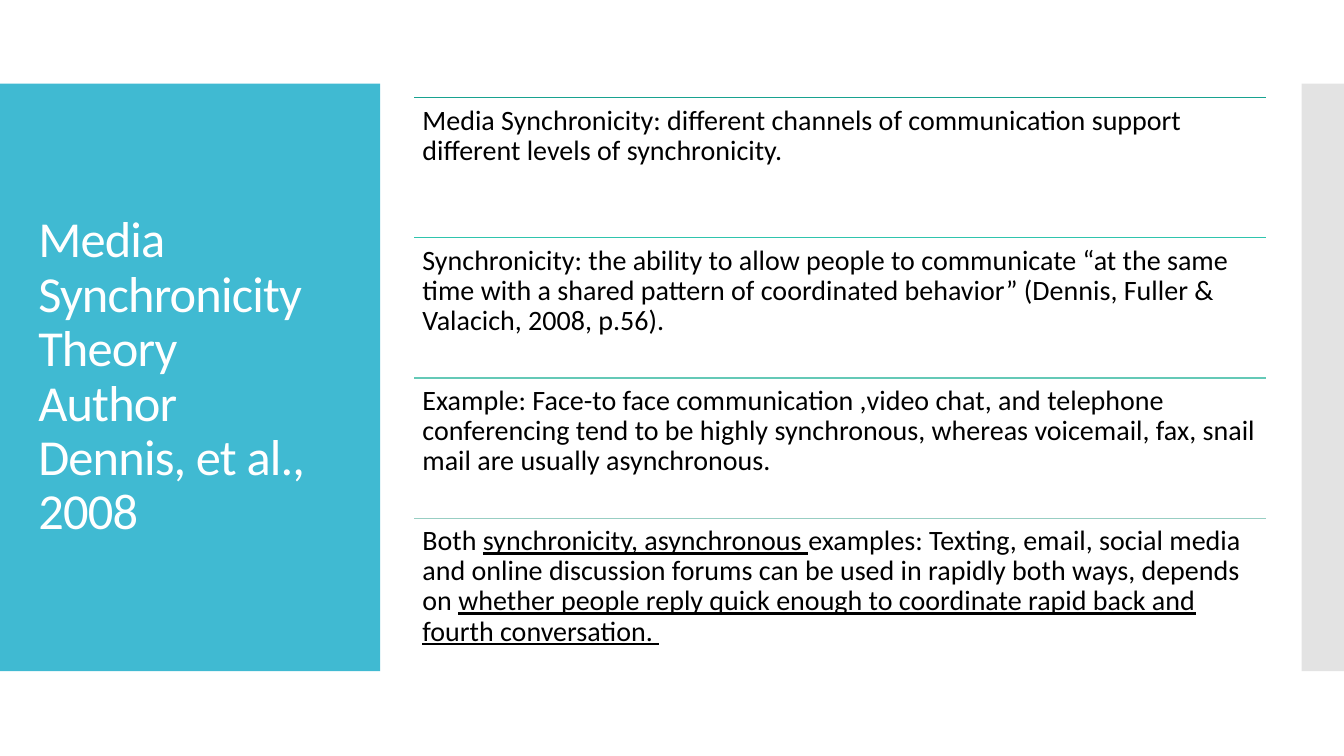
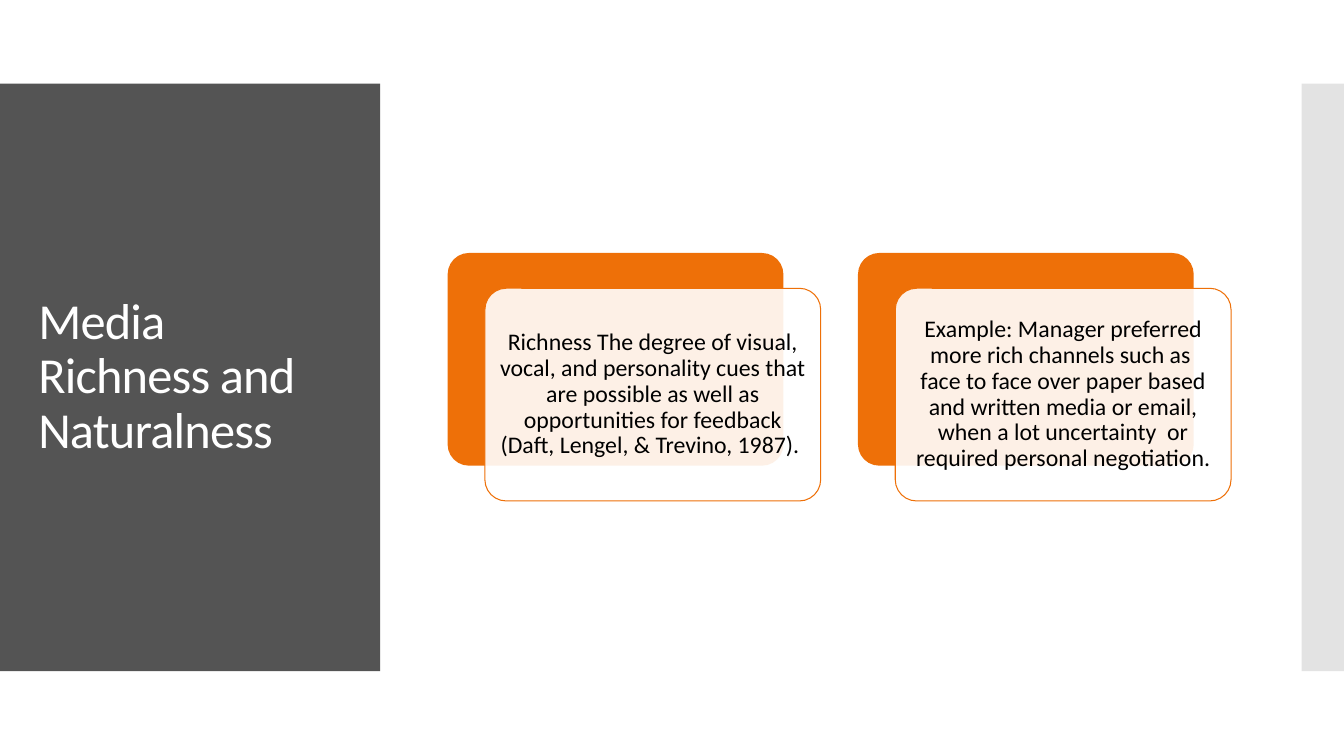
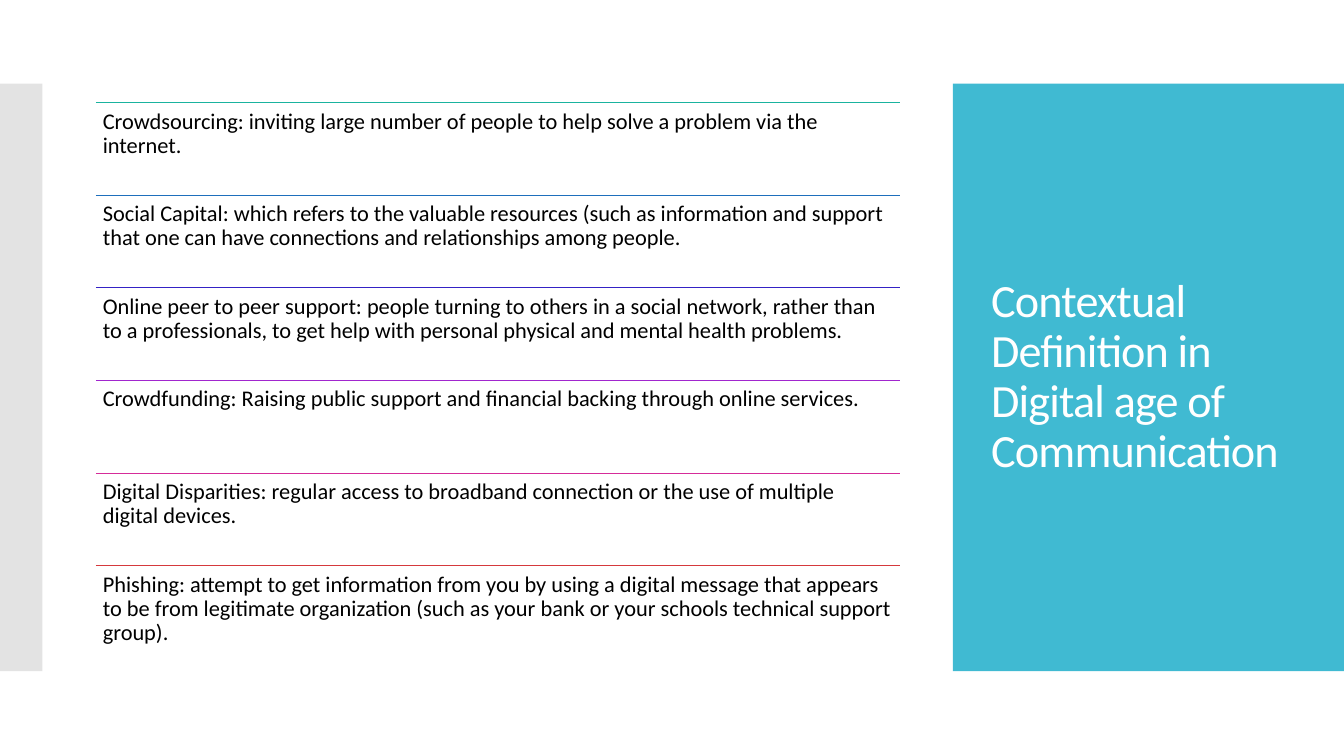
from pptx import Presentation
from pptx.dml.color import RGBColor
from pptx.enum.shapes import MSO_CONNECTOR, MSO_SHAPE
from pptx.enum.text import MSO_ANCHOR, MSO_AUTO_SIZE, PP_ALIGN
from pptx.oxml.ns import qn
from pptx.util import Inches, Pt
from lxml import etree

RECTANGLE, ROUNDED = MSO_SHAPE.RECTANGLE, MSO_SHAPE.ROUNDED_RECTANGLE
STRAIGHT = MSO_CONNECTOR.STRAIGHT
TOP, MIDDLE = MSO_ANCHOR.TOP, MSO_ANCHOR.MIDDLE
LEFT, CENTER = PP_ALIGN.LEFT, PP_ALIGN.CENTER
NO_AUTOFIT = MSO_AUTO_SIZE.NONE

# Shared style
FONT = "Calibri"
WHITE = RGBColor(0xFF, 0xFF, 0xFF)
BLACK = RGBColor(0x00, 0x00, 0x00)
TURQUOISE = RGBColor(0x40, 0xBA, 0xD2)
SILVER = RGBColor(0xC8, 0xC8, 0xC8)
CHARCOAL = RGBColor(0x54, 0x54, 0x54)
ORANGE = RGBColor(0xEE, 0x70, 0x08)
GREEN_RULES = [RGBColor(0x18, 0xA2, 0x90), RGBColor(0x2F, 0xC4, 0xAD),
               RGBColor(0x64, 0xC9, 0xB7), RGBColor(0x98, 0xCE, 0xC3)]
RAINBOW_RULES = [RGBColor(0x1A, 0xB3, 0x9F), RGBColor(0x1E, 0x6F, 0xBC),
                 RGBColor(0x34, 0x22, 0xC5), RGBColor(0xA1, 0x26, 0xCE),
                 RGBColor(0xD5, 0x2C, 0x99), RGBColor(0xD5, 0x39, 0x3D)]

PAGE_WIDTH, PAGE_HEIGHT = 13.33, 7.5
BAND_TOP, BAND_HEIGHT = 0.83, 5.83
STRIP_WIDTH = 0.42
RULE_WEIGHT = 0.75

# Wording; a row is a text or a list of (text, underlined) spans
SYNCHRONICITY_ROWS = [
    "Media Synchronicity: different channels of communication support different "
    "levels of synchronicity.",
    "Synchronicity: the ability to allow people to communicate “at the same time with "
    "a shared pattern of coordinated behavior” (Dennis, Fuller & Valacich, 2008, p.56).",
    "Example: Face-to face communication ,video chat, and telephone conferencing tend "
    "to be highly synchronous, whereas voicemail, fax, snail mail are usually "
    "asynchronous.",
    [("Both ", False),
     ("synchronicity, asynchronous ", True),
     ("examples: Texting, email, social media and online discussion forums can be used "
      "in rapidly both ways, depends on ", False),
     ("whether people reply quick enough to coordinate rapid back and fourth "
      "conversation. ", True)],
]
RICHNESS_CARDS = [
    "Richness The degree of visual, vocal, and personality cues that are possible as "
    "well as opportunities for feedback (Daft, Lengel, & Trevino, 1987). ",
    "Example: Manager preferred more rich channels such as  face to face over paper "
    "based and written media or email, when a lot uncertainty  or required personal "
    "negotiation.",
]
DEFINITION_ROWS = [
    "Crowdsourcing: inviting large number of people to help solve a problem via the "
    "internet.",
    "Social Capital: which refers to the valuable resources (such as information and "
    "support that one can have connections and relationships among people.",
    "Online peer to peer support: people turning to others in a social network, rather "
    "than to a professionals, to get help with personal physical and mental health "
    "problems.",
    "Crowdfunding: Raising public support and financial backing through online services.",
    "Digital Disparities: regular access to broadband connection or the use of multiple "
    "digital devices.",
    "Phishing: attempt to get information from you by using a digital message that "
    "appears to be from legitimate organization (such as your bank or your schools "
    "technical support group).",
]


def write_text(shape, text, size, color=BLACK, align=LEFT, anchor=TOP, inset=0.1,
               tracking=None):
    """Fill a shape with one paragraph of plain or partly underlined text."""
    frame = shape.text_frame
    frame.word_wrap = True
    frame.auto_size = NO_AUTOFIT
    frame.vertical_anchor = anchor
    frame.margin_left = frame.margin_right = Inches(inset)
    frame.margin_top = frame.margin_bottom = Inches(inset)
    para = frame.paragraphs[0]
    para.alignment = align
    para.line_spacing = 0.9
    spans = [(text, False)] if isinstance(text, str) else text
    for words, underlined in spans:
        for index, line in enumerate(words.split("\n")):
            if index:
                para.add_line_break()
            span = para.add_run()
            span.text = line
            span.font.name = FONT
            span.font.size = Pt(size)
            span.font.color.rgb = color
            if underlined:
                span.font.underline = True
            if tracking is not None:
                span.font._element.set("spc", str(round(tracking * 100)))


def add_block(page, box, fill, kind=RECTANGLE, opacity=None, outline=None):
    """Add a filled shape, optionally see-through or outlined."""
    shape = page.shapes.add_shape(kind, *map(Inches, box))
    shape.shadow.inherit = False
    shape.fill.solid()
    shape.fill.fore_color.rgb = fill
    if opacity is not None:
        color = shape.element.spPr.find(qn("a:solidFill"))[0]
        etree.SubElement(color, qn("a:alpha"), val=str(opacity * 1000))
    if outline is None:
        shape.line.fill.background()
    else:
        shape.line.color.rgb = outline
        shape.line.width = Pt(RULE_WEIGHT)
    return shape


def add_rule(page, left, top, width, color):
    """Add a thin horizontal line."""
    rule = page.shapes.add_connector(STRAIGHT, Inches(left), Inches(top),
                                     Inches(left + width), Inches(top))
    rule.line.color.rgb = color
    rule.line.width = Pt(RULE_WEIGHT)
    etree.SubElement(rule.element.spPr, qn("a:effectLst"))


def add_page(deck, title, panel_width=3.77, panel_color=TURQUOISE, panel_right=False,
             title_size=36):
    """Start a slide with a title panel on one side and a pale strip on the other."""
    page = deck.slides.add_slide(deck.slide_layouts[5])
    panel_left = PAGE_WIDTH - panel_width if panel_right else 0
    strip_left = 0 if panel_right else PAGE_WIDTH - STRIP_WIDTH
    add_block(page, (panel_left, BAND_TOP, panel_width, BAND_HEIGHT), panel_color)
    add_block(page, (strip_left, BAND_TOP, STRIP_WIDTH, BAND_HEIGHT), SILVER, opacity=50)

    holder = page.shapes.title
    holder.left, holder.top = Inches(panel_left + 0.28), Inches(1.23)
    holder.width, holder.height = Inches(3.22), Inches(5.03)
    write_text(holder, title, title_size, color=WHITE, anchor=MIDDLE, tracking=-0.6)
    # Bring the title in front of its panel
    holder.element.getparent().append(holder.element)
    return page


def add_ruled_rows(page, box, rows, colors, size, inset):
    """Stack equal rows of text, each under a coloured rule."""
    left, top, width, height = box
    row_height = height / len(rows)
    for index, (text, color) in enumerate(zip(rows, colors)):
        row_top = top + index * row_height
        add_rule(page, left, row_top, width, color)
        row = page.shapes.add_textbox(Inches(left), Inches(row_top),
                                      Inches(width), Inches(row_height))
        write_text(row, text, size, inset=inset)


def add_layered_cards(page, box, texts, pitch=4.07, shift=(0.37, 0.35)):
    """Set cards side by side, each with an orange card behind it."""
    left, top, width, height = box
    card_width, card_height = width - pitch * (len(texts) - 1) - shift[0], height - shift[1]
    for index, text in enumerate(texts):
        card_left = left + index * pitch
        back = add_block(page, (card_left, top, card_width, card_height), ORANGE,
                         kind=ROUNDED)
        front = add_block(page, (card_left + shift[0], top + shift[1],
                                 card_width, card_height),
                          WHITE, kind=ROUNDED, opacity=90, outline=ORANGE)
        for card in (back, front):
            card.adjustments[0] = 0.1
        write_text(front, text, 17, align=CENTER, anchor=MIDDLE, inset=0.07)
        # Room for the rounded corners
        front.text_frame.margin_left = front.text_frame.margin_right = Inches(0.07)


def main():
    deck = Presentation()
    deck.slide_width, deck.slide_height = Inches(PAGE_WIDTH), Inches(PAGE_HEIGHT)

    page = add_page(deck, "Media Synchronicity Theory\nAuthor\nDennis, et al., 2008")
    add_ruled_rows(page, (4.11, 0.97, 8.45, 5.56), SYNCHRONICITY_ROWS, GREEN_RULES,
                   size=20, inset=0.08)

    page = add_page(deck, "Media Richness and Naturalness", panel_color=CHARCOAL)
    add_layered_cards(page, (4.44, 2.51, 7.77, 2.46), RICHNESS_CARDS)

    page = add_page(deck, "Contextual Definition in Digital age of Communication",
                    panel_width=3.88, panel_right=True, title_size=33)
    add_ruled_rows(page, (0.95, 1.02, 7.98, 5.51), DEFINITION_ROWS, RAINBOW_RULES,
                   size=16, inset=0.07)

    deck.save("out.pptx")


if __name__ == "__main__":
    main()
